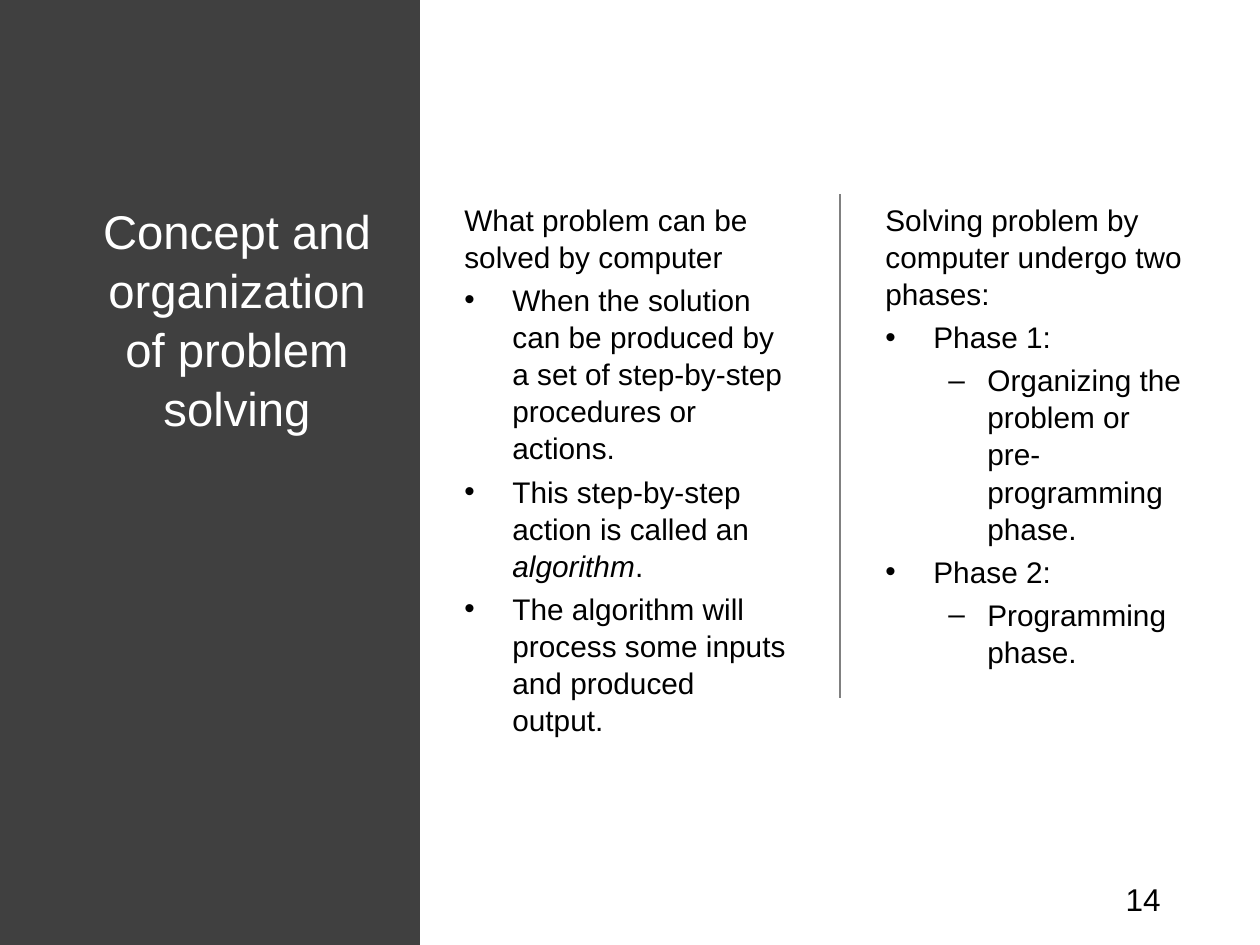
from lxml.etree import SubElement
from pptx import Presentation
from pptx.dml.color import RGBColor
from pptx.enum.shapes import MSO_CONNECTOR, MSO_SHAPE
from pptx.enum.text import MSO_ANCHOR, MSO_AUTO_SIZE, PP_ALIGN
from pptx.oxml.ns import qn
from pptx.util import Emu, Inches, Pt

PIXELS_PER_INCH = 126
FONT = "Arial"
WHITE = RGBColor(0xFF, 0xFF, 0xFF)
BLACK = RGBColor(0x00, 0x00, 0x00)
DARK_GRAY = RGBColor(0x40, 0x40, 0x40)
RULE_GRAY = RGBColor(0x80, 0x80, 0x80)

BODY_SIZE = 17
LINE_SPACING = 1.04
CONTENT_TOP, CONTENT_HEIGHT = 194, 601
# Bullet, left margin and hanging indent for each kind of line
LEVELS = {
    "intro": None,
    "bullet": (0, "•", 48, 48),
    "dash": (1, "–", 102, 39),
}

# Each line is a kind and its text pieces; every second piece is italic
PROBLEM_LINES = [
    ("intro", ["What problem can be solved by computer"]),
    ("bullet", ["When the solution can be produced by a set of "
                "step-by-step procedures or actions."]),
    ("bullet", ["This step-by-step action is called an ", "algorithm", "."]),
    ("bullet", ["The algorithm will process some inputs and produced output."]),
]
PHASE_LINES = [
    ("intro", ["Solving problem by computer undergo two phases:"]),
    ("bullet", ["Phase 1:"]),
    ("dash", ["Organizing the problem or pre-programming phase."]),
    ("bullet", ["Phase 2:"]),
    ("dash", ["Programming phase."]),
]


def px(length):
    return Emu(round(length * Inches(1) / PIXELS_PER_INCH))


def style_paragraph(paragraph, size, color, alignment, line_spacing=LINE_SPACING):
    paragraph.alignment = alignment
    paragraph.line_spacing = line_spacing
    paragraph.font.name = FONT
    paragraph.font.size = Pt(size)
    paragraph.font.color.rgb = color


def prepare_frame(shape, anchor=MSO_ANCHOR.TOP):
    frame = shape.text_frame
    frame.word_wrap = True
    frame.auto_size = MSO_AUTO_SIZE.NONE
    frame.vertical_anchor = anchor
    return frame


def add_text_box(slide, left, top, width, height, anchor=MSO_ANCHOR.TOP):
    box = slide.shapes.add_textbox(px(left), px(top), px(width), px(height))
    return prepare_frame(box, anchor)


def set_title(slide, text):
    title = slide.shapes.title
    title.left, title.top = px(87), px(CONTENT_TOP)
    title.width, title.height = px(300), px(CONTENT_HEIGHT)
    frame = prepare_frame(title)
    frame.text = text
    style_paragraph(frame.paragraphs[0], 27, WHITE, PP_ALIGN.CENTER)


def add_side_panel(slide):
    panel = slide.shapes.add_shape(MSO_SHAPE.RECTANGLE, 0, 0, px(420), px(945))
    panel.shadow.inherit = False
    panel.fill.solid()
    panel.fill.fore_color.rgb = DARK_GRAY
    panel.line.fill.background()
    # Keep the panel behind the title
    slide.shapes.title.element.addprevious(panel.element)


def add_divider(slide, x, top, bottom):
    divider = slide.shapes.add_connector(
        MSO_CONNECTOR.STRAIGHT, px(x), px(top), px(x), px(bottom))
    divider.line.color.rgb = RULE_GRAY
    divider.line.width = Pt(1)
    SubElement(divider.element.spPr, qn("a:effectLst"))


def set_bullet(paragraph, level, character, margin, hanging):
    paragraph.level = level
    properties = paragraph._p.get_or_add_pPr()
    properties.set("marL", str(px(margin)))
    properties.set("indent", str(-px(hanging)))
    SubElement(properties, qn("a:buFont"), typeface=FONT)
    SubElement(properties, qn("a:buChar"), char=character)


def add_column(slide, left, width, lines):
    frame = add_text_box(slide, left, CONTENT_TOP, width, CONTENT_HEIGHT)
    for index, (kind, pieces) in enumerate(lines):
        paragraph = frame.add_paragraph() if index else frame.paragraphs[0]
        paragraph.space_before = Pt(0.2 * BODY_SIZE if index else 0)
        paragraph.line_spacing = LINE_SPACING
        if LEVELS[kind]:
            set_bullet(paragraph, *LEVELS[kind])
        style_paragraph(paragraph, BODY_SIZE, BLACK, PP_ALIGN.LEFT)
        for position, piece in enumerate(pieces):
            run = paragraph.add_run()
            run.text = piece
            if position % 2:
                run.font.italic = True


def add_page_number(slide, number):
    frame = add_text_box(slide, 951, 876, 222, 50, MSO_ANCHOR.MIDDLE)
    frame.text = number
    style_paragraph(frame.paragraphs[0], 18, BLACK, PP_ALIGN.RIGHT, 0.9)


def main():
    presentation = Presentation()
    presentation.slide_width, presentation.slide_height = px(1260), px(945)
    slide = presentation.slides.add_slide(presentation.slide_layouts[5])

    # Title on the dark panel
    set_title(slide, "Concept and organization of problem solving")
    add_side_panel(slide)

    # Two columns with a rule between them
    add_column(slide, 452, 354, PROBLEM_LINES)
    add_divider(slide, 840, CONTENT_TOP, 698)
    add_column(slide, 873, 330, PHASE_LINES)

    add_page_number(slide, "14")
    presentation.save("out.pptx")


if __name__ == "__main__":
    main()
